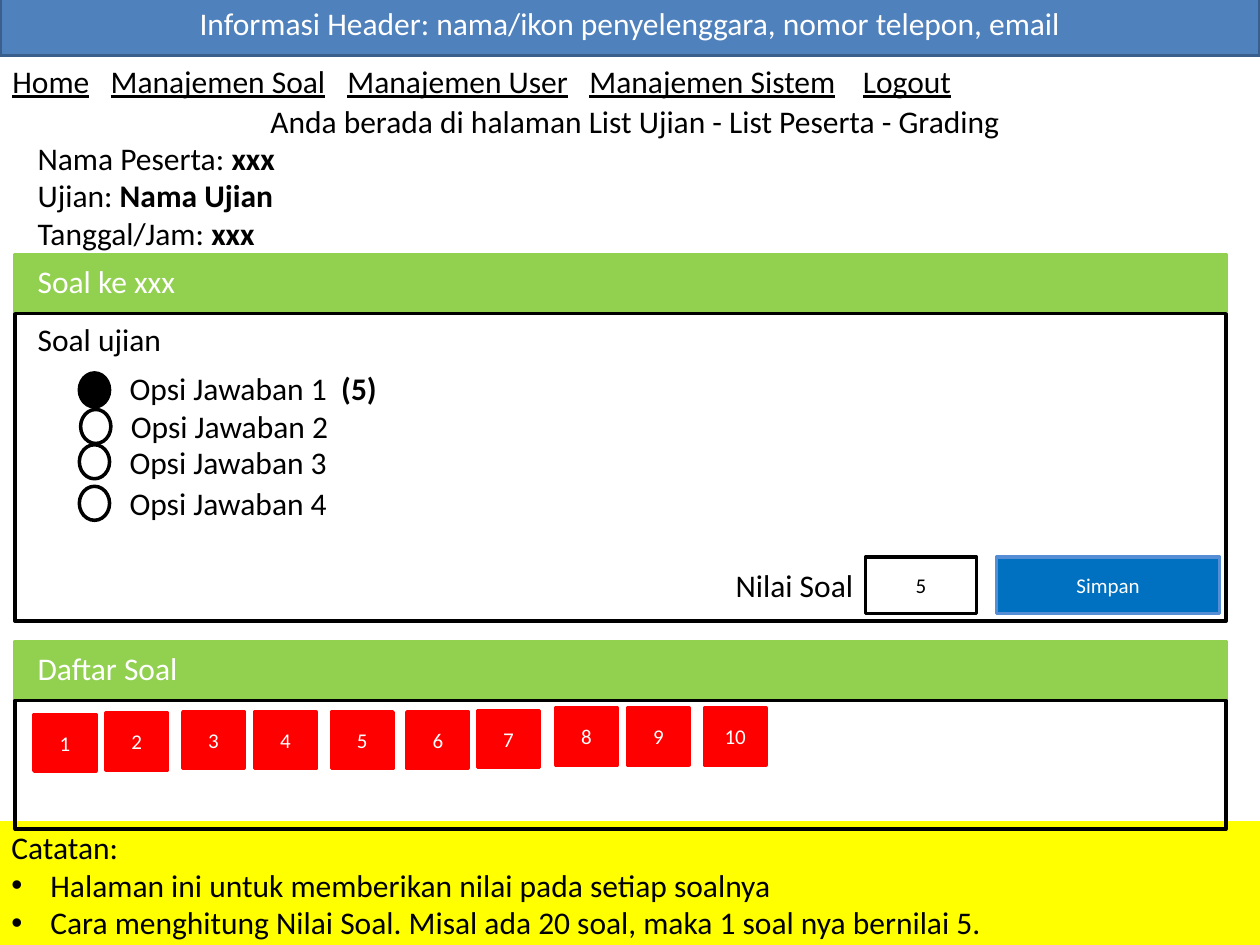
from pptx import Presentation
from pptx.dml.color import RGBColor
from pptx.enum.shapes import MSO_SHAPE as Preset
from pptx.enum.text import MSO_ANCHOR as Anchor, MSO_AUTO_SIZE as AutoSize, PP_ALIGN as Align
from pptx.oxml.ns import qn
from pptx.util import Inches, Pt
from lxml.etree import SubElement

# Content: a line is a list of (text, style) runs; style is "", "b" or "u"
HEADER = "Informasi Header: nama/ikon penyelenggara, nomor telepon, email"
MENU = ["Home", "Manajemen Soal", "Manajemen User", "Manajemen Sistem", "Logout"]
BREADCRUMB = "Anda berada di halaman List Ujian - List Peserta - Grading"
DETAILS = [("Nama Peserta: ", "xxx"), ("Ujian: ", "Nama Ujian"), ("Tanggal/Jam: ", "xxx")]
NOTES = ["Catatan: ",
         "Halaman ini untuk memberikan nilai pada setiap soalnya",
         "Cara menghitung Nilai Soal. Misal ada 20 soal, maka 1 soal nya bernilai 5."]
# Answer options: left, top of the radio button, top of the label, score
OPTIONS = [(0.63, 2.96, 2.88, "(5)"), (0.64, 3.25, 3.18, ""),
           (0.63, 3.53, 3.47, ""), (0.63, 3.86, 3.79, "")]
# Panels: top, body height, title
PANELS = [(2.02, 2.44, "Soal ke xxx"), (5.09, 1.02, "Daftar Soal")]
# Left and top of each numbered question tile
TILES = [(0.27, 5.67), (0.84, 5.66), (1.45, 5.65), (2.02, 5.65), (2.63, 5.65),
         (3.23, 5.65), (3.79, 5.64), (4.41, 5.62), (4.98, 5.62), (5.59, 5.62)]

THEME = dict(font="Calibri", text=18, small=12, line=2,
             black="000000", white="FFFFFF", yellow="FFFF00", green="92D050",
             red="FF0000", header="4F81BD", header_edge="3A5F8C",
             button="0070C0", button_edge="558ED5")
WIDTH, HEIGHT = 10, 7.5
PANEL_LEFT, PANEL_WIDTH, BAR_HEIGHT = 0.12, 9.61, 0.47
TEXT_LEFT, ROW, BOX_HEIGHT = 0.2, 0.4, 0.45
MENU_TABS = [0.78, 2.66, 4.58, 6.75]
SCORE_TAB = 1.68
INDENT = 0.31


def color(name):
    return RGBColor.from_string(THEME[name])


def place(shape, left, top, width, height):
    shape.left, shape.top = Inches(left), Inches(top)
    shape.width, shape.height = Inches(width), Inches(height)


def paint(shape, fill, line, weight=THEME["line"]):
    if fill:
        shape.fill.solid()
        shape.fill.fore_color.rgb = color(fill)
    else:
        shape.fill.background()
    shape.line.color.rgb = color(line)
    shape.line.width = Pt(weight)


def write(shape, lines, ink="black", size="text", align=Align.LEFT, anchor=Anchor.TOP):
    frame = shape.text_frame
    frame.word_wrap = True
    frame.auto_size = AutoSize.NONE
    frame.vertical_anchor = anchor
    for index, line in enumerate(lines):
        paragraph = frame.add_paragraph() if index else frame.paragraphs[0]
        paragraph.alignment = align
        paragraph.space_before = Pt(0)
        paragraph.font.name = THEME["font"]
        paragraph.font.size = Pt(THEME[size])
        paragraph.font.color.rgb = color(ink)
        for text, style in line:
            run = paragraph.add_run()
            run.text = text
            if style == "b":
                run.font.bold = True
            elif style == "u":
                run.font.underline = True
    return frame.paragraphs


def add_box(at, fill, line, label="", ink="white", size="small", preset=Preset.RECTANGLE):
    shape = slide.shapes.add_shape(preset, *map(Inches, at))
    shape.shadow.inherit = False
    paint(shape, fill, line)
    if label:
        write(shape, [[(label, "")]], ink, size, Align.CENTER, Anchor.MIDDLE)


def add_text(at, lines, **looks):
    return write(slide.shapes.add_textbox(*map(Inches, at)), lines, **looks)


def set_tabs(paragraph, stops):
    properties = paragraph._p.get_or_add_pPr()
    tabs = SubElement(properties, qn("a:tabLst"))
    for stop in stops:
        SubElement(tabs, qn("a:tab"), pos=str(Inches(stop)), algn="l")
    for defaults in properties.findall(qn("a:defRPr")):
        properties.append(defaults)


def set_bullet(paragraph, bullet):
    properties = paragraph._p.get_or_add_pPr()
    indent = Inches(INDENT) if bullet else 0
    properties.set("marL", str(indent))
    properties.set("indent", str(-indent))
    if bullet:
        SubElement(properties, qn("a:buFont"), typeface="Arial")
        SubElement(properties, qn("a:buChar"), char=bullet)
    else:
        SubElement(properties, qn("a:buNone"))
    for defaults in properties.findall(qn("a:defRPr")):
        properties.append(defaults)


presentation = Presentation()
presentation.slide_width, presentation.slide_height = Inches(WIDTH), Inches(HEIGHT)
slide = presentation.slides.add_slide(presentation.slide_layouts[1])

# Breadcrumb in the title, notes in the body
title, notes = slide.placeholders
place(title, 0.75, 0.76, 8.58, ROW)
write(title, [[(BREADCRUMB, "")]], align=Align.CENTER)
place(notes, -0.01, 6.52, 10.01, 1.01)
paint(notes, "yellow", "yellow", 0.75)
for index, paragraph in enumerate(write(notes, [[(text, "")] for text in NOTES])):
    set_bullet(paragraph, "•" if index else None)

# Header, menu and participant details
add_box((0, -0.08, WIDTH, 0.52), "header", "header_edge", HEADER, size="text")
menu_runs = [(MENU[0], "u")]
for item in MENU[1:]:
    menu_runs += [("\t", ""), (item, "u")]
set_tabs(add_text((0, 0.44, WIDTH, ROW), [menu_runs])[0], MENU_TABS)
add_text((TEXT_LEFT, 1.05, 3.48, 1.01),
         [[(name, ""), (value, "b")] for name, value in DETAILS])

# Panels with a green title bar
for top, height, heading in PANELS:
    add_box((PANEL_LEFT, top, PANEL_WIDTH, BAR_HEIGHT), "green", "green")
    add_text((TEXT_LEFT, top + 0.01, 4.41, ROW), [[(heading, "")]], ink="white")
    add_box((PANEL_LEFT, top + BAR_HEIGHT, PANEL_WIDTH, height), None, "black")

# Question with its answer options
add_text((TEXT_LEFT, 2.49, 3.48, ROW), [[("Soal ujian", "")]])
for number, (left, top, label_top, score) in enumerate(OPTIONS, 1):
    add_box((left, top, 0.24, 0.27), "black" if score else "white", "black",
            preset=Preset.OVAL)
    runs = [(f"Opsi Jawaban {number}", "")]
    if score:
        runs += [("\t", ""), (score, "b")]
    label = add_text((left + 0.3, label_top, 3.48 if score else 2.53, ROW), [runs])[0]
    if score:
        set_tabs(label, [SCORE_TAB])

# Score field and save button
add_text((4.55, 4.44, 2.32, ROW), [[("Nilai Soal", "")]], align=Align.RIGHT)
add_box((6.87, 4.42, 0.88, BOX_HEIGHT), "white", "black", "5", ink="black")
add_box((7.91, 4.42, 1.77, BOX_HEIGHT), "button", "button_edge", "Simpan")

# Question tiles
for number, (left, top) in enumerate(TILES, 1):
    add_box((left, top, 0.49, BOX_HEIGHT), "red", "red", str(number))

presentation.save("out.pptx")
